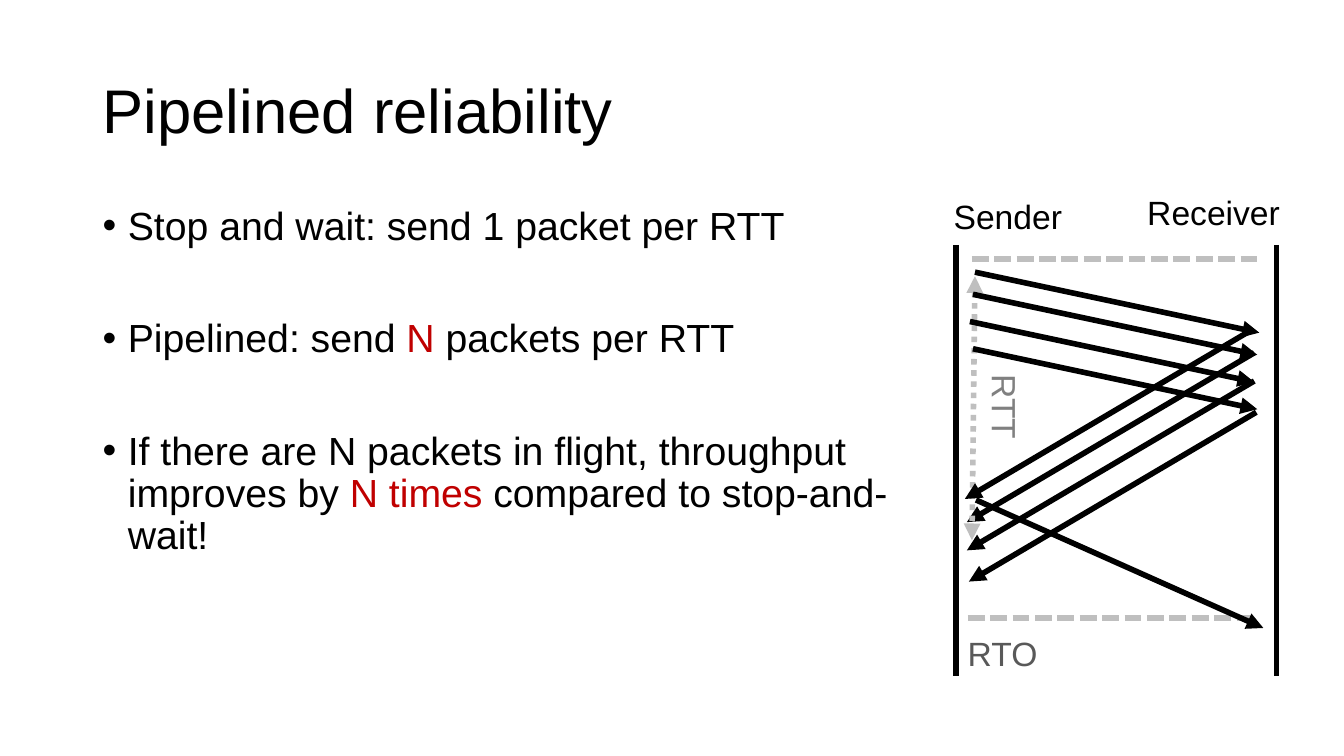
from lxml import etree
from pptx import Presentation
from pptx.dml.color import RGBColor
from pptx.enum import dml, shapes, text
from pptx.oxml import ns
from pptx.util import Inches, Pt

BLACK = RGBColor(0x00, 0x00, 0x00)
RED = RGBColor(0xC0, 0x00, 0x00)
SILVER = RGBColor(0xBF, 0xBF, 0xBF)
GRAY = RGBColor(0x80, 0x80, 0x80)
DARK = RGBColor(0x59, 0x59, 0x59)
FONT = "Arial"
DASH = dml.MSO_LINE.SQUARE_DOT
DOT = dml.MSO_LINE.ROUND_DOT

POINTS = [
    [("Stop and wait: send 1 packet per RTT", BLACK)],
    [("Pipelined: send ", BLACK), ("N", RED), (" packets per RTT", BLACK)],
    [("If there are N packets in flight, throughput improves by ", BLACK),
     ("N times ", RED), ("compared to stop-and-wait!", BLACK)],
]


def add_box(slide, left, top, width, height):
    box = slide.shapes.add_textbox(
        Inches(left), Inches(top), Inches(width), Inches(height))
    box.text_frame.word_wrap = True
    return box


def set_font(para, size, color=None):
    para.font.name = FONT
    para.font.size = Pt(size)
    if color is not None:
        para.font.color.rgb = color


def add_label(slide, words, left, top, width, height=0.5, size=24, color=BLACK):
    box = add_box(slide, left, top, width, height)
    para = box.text_frame.paragraphs[0]
    para.text = words
    set_font(para, size, color)
    return box


def add_title(slide, left, top, width, height):
    box = add_label(slide, "Pipelined reliability", left, top, width, height, 44)
    box.text_frame.vertical_anchor = text.MSO_ANCHOR.MIDDLE
    box.text_frame.paragraphs[0].line_spacing = 0.9


def add_points(slide, left, top, width, height):
    frame = add_box(slide, left, top, width, height).text_frame
    for i, parts in enumerate(POINTS):
        para = frame.add_paragraph() if i else frame.paragraphs[0]
        para.line_spacing = 0.9
        para.space_before = Pt(50 if i else 0)
        props = para._p.get_or_add_pPr()
        props.set("marL", str(Inches(0.25)))
        props.set("indent", str(Inches(-0.25)))
        face = etree.SubElement(props, ns.qn("a:buFont"))
        face.set("typeface", FONT)
        mark = etree.SubElement(props, ns.qn("a:buChar"))
        mark.set("char", "•")
        set_font(para, 28)
        for words, color in parts:
            run = para.add_run()
            run.text = words
            run.font.color.rgb = color


def add_flow(slide, left, top, width, height):
    def draw(start, step, color=BLACK, dash=None, ends=()):
        x, y = left + start[0], top + start[1]
        line = slide.shapes.add_connector(
            shapes.MSO_CONNECTOR.STRAIGHT, Inches(x), Inches(y),
            Inches(x + step[0]), Inches(y + step[1]))
        line.line.color.rgb = color
        line.line.width = Pt(4)
        if dash is not None:
            line.line.dash_style = dash
        for end in ends:
            tip = etree.SubElement(line.line._get_or_add_ln(), ns.qn(end))
            tip.set("type", "triangle")
        etree.SubElement(line._element.spPr, ns.qn("a:effectLst"))

    def send(start, step):
        draw(start, step, ends=["a:tailEnd"])

    reply = (-2.85, 1.68)
    for x in (0, width):
        draw((x, 0), (0, height))
    send((2.96, 1.07), reply)
    for start in ((0.12, 3.7), (0.16, 0.14)):
        draw(start, (2.85, 0), SILVER, DASH)
    draw((0.19, 0.31), (-0.03, 2.62), SILVER, DOT, ["a:headEnd", "a:tailEnd"])
    send((0.2, 2.53), (2.85, 1.27))
    for start in ((0.19, 0.27), (0.17, 0.49), (0.14, 0.76), (0.17, 1.03)):
        send(start, (2.82, 0.6))
    for start in ((2.94, 0.84), (2.96, 1.35), (2.98, 1.66)):
        send(start, reply)

    add_label(slide, "Sender", left - 0.12, top - 0.54, 1.51)
    add_label(slide, "Receiver", left + 1.8, top - 0.58, 1.68)
    trip = add_label(slide, "RTT", left - 0.06, top + 1.49, 1.1, color=GRAY)
    trip.rotation = 90
    add_label(slide, "RTO", left + 0.02, top + 3.8, 1.1, color=DARK)


def main():
    deck = Presentation()
    deck.slide_width = Inches(13.33)
    deck.slide_height = Inches(7.5)
    slide = deck.slides.add_slide(deck.slide_layouts[6])
    add_title(slide, 0.92, 0.4, 11.5, 1.45)
    add_points(slide, 0.92, 2, 8.3, 5.43)
    add_flow(slide, 9.48, 2.43, 3.18, 4.28)
    deck.save("out.pptx")


if __name__ == "__main__":
    main()
